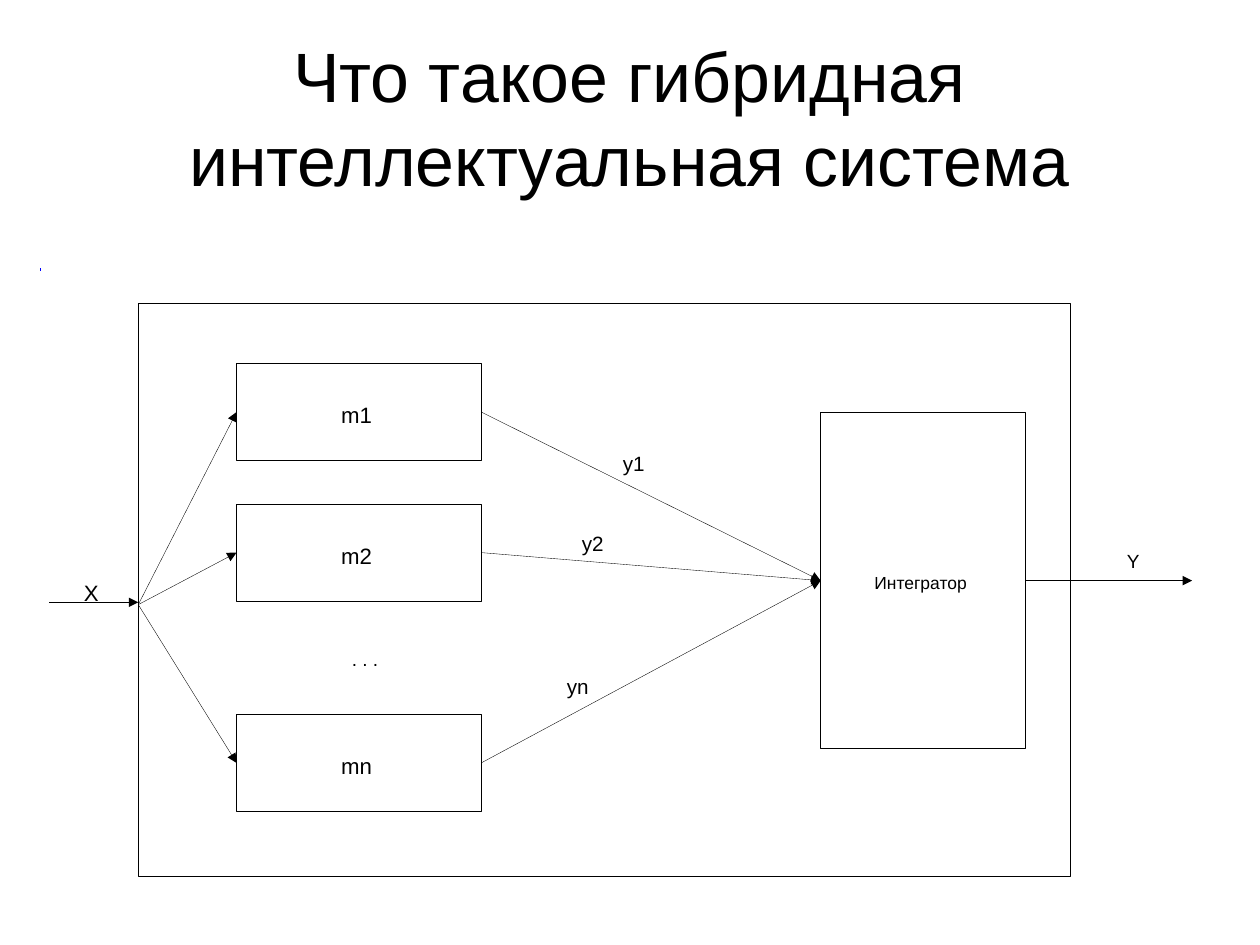
from pptx import Presentation
from pptx.dml.color import RGBColor
from pptx.enum.shapes import MSO_CONNECTOR, MSO_SHAPE
from pptx.enum.text import MSO_ANCHOR, PP_ALIGN
from pptx.oxml.ns import qn
from pptx.util import Inches, Pt
from lxml.etree import SubElement

BLACK, WHITE, BLUE = "000000", "FFFFFF", "0000FF"
CM_PER_INCH = 2.54
HAIRLINE = 0.23
INSET, RIGHT_INSET = 0.03, 0.07


def color(hex_code):
    return RGBColor.from_string(hex_code)


def write(frame, text, size, inset=INSET, right=RIGHT_INSET, spacing=1.2):
    margin = Inches(inset)
    frame_format = {
        "margin_left": margin, "margin_right": Inches(right),
        "margin_top": margin, "margin_bottom": margin,
        "word_wrap": True, "vertical_anchor": MSO_ANCHOR.MIDDLE,
    }
    for name, value in frame_format.items():
        setattr(frame, name, value)
    paragraph = frame.paragraphs[0]
    paragraph.alignment = PP_ALIGN.CENTER
    paragraph.line_spacing = spacing
    run = paragraph.add_run()
    run.text = text
    for name, value in {"name": "Arial", "size": Pt(size)}.items():
        setattr(run.font, name, value)
    run.font.color.rgb = color(BLACK)


def add_label(slide, text, size, box, **layout):
    label = slide.shapes.add_textbox(*map(Inches, box))
    write(label.text_frame, text, size, **layout)


def add_block(slide, box, text=None, size=14):
    block = slide.shapes.add_shape(MSO_SHAPE.RECTANGLE, *map(Inches, box))
    block.shadow.inherit = False
    block.fill.solid()
    block.fill.fore_color.rgb = color(WHITE)
    block.line.color.rgb = color(BLACK)
    block.line.width = Pt(HAIRLINE)
    if text:
        write(block.text_frame, text, size)


def add_line(slide, start, end, hex_code=BLACK, width=HAIRLINE, arrow=True):
    link = slide.shapes.add_connector(
        MSO_CONNECTOR.STRAIGHT, *map(Inches, (*start, *end)))
    link.line.color.rgb = color(hex_code)
    link.line.width = Pt(width)
    if arrow:
        SubElement(link.line._get_or_add_ln(), qn("a:tailEnd"), type="triangle")
    SubElement(link._element.spPr, qn("a:effectLst"))


def main():
    deck = Presentation()
    deck.slide_width = Inches(28 / CM_PER_INCH)
    deck.slide_height = Inches(21 / CM_PER_INCH)
    slide = deck.slides.add_slide(deck.slide_layouts[6])

    add_label(slide, "Что такое гибридная интеллектуальная система", 44,
              (0.55, 0.33, 9.92, 1.38), inset=0, right=0, spacing=1)
    add_line(slide, (0.35, 2.36), (0.36, 2.36), BLUE, width=0, arrow=False)

    system_left = 1.21
    add_block(slide, (system_left, 2.65, 8.15, 5.02))
    integrator_left, integrator_top = 7.18, 3.61
    integrator_width, integrator_height = 1.79, 2.94
    add_block(slide, (integrator_left, integrator_top,
                      integrator_width, integrator_height), "Интегратор", 11)

    module_left, module_width, module_height = 2.07, 2.14, 0.85
    output_y = integrator_top + integrator_height / 2
    split = (system_left, 5.29)
    for module, top in (("m1", 3.18), ("m2", 4.41), ("mn", 6.25)):
        add_block(slide, (module_left, top, module_width, module_height), module)
        middle = top + module_height / 2
        add_line(slide, split, (module_left, middle))
        add_line(slide, (module_left + module_width, middle),
                 (integrator_left, output_y))

    add_line(slide, (0.43, 5.27), (system_left, 5.27))
    add_line(slide, (integrator_left + integrator_width, output_y),
             (10.43, output_y))

    for text, size, box in (
        ("y1", 13, (5.21, 3.83, 0.71, 0.41)),
        ("y2", 13, (4.92, 4.53, 0.57, 0.41)),
        ("yn", 13, (4.86, 5.58, 0.43, 0.8)),
        ("Y", 12, (9.79, 4.57, 0.29, 0.63)),
        ("X", 14, (0.64, 4.94, 0.36, 0.44)),
        (". . .", 12, (2.5, 5.55, 1.43, 0.39)),
    ):
        add_label(slide, text, size, box)

    deck.save("out.pptx")


if __name__ == "__main__":
    main()
